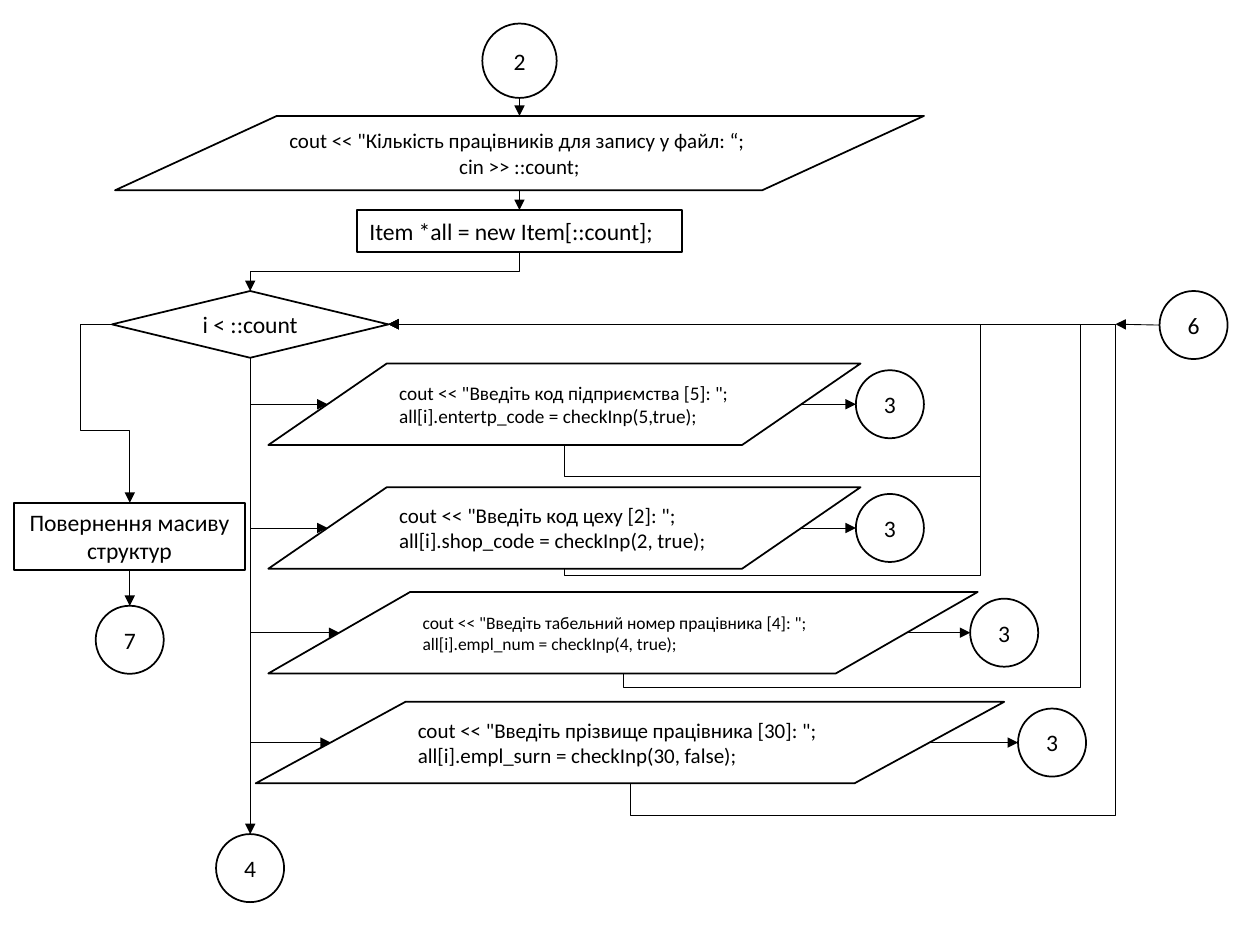
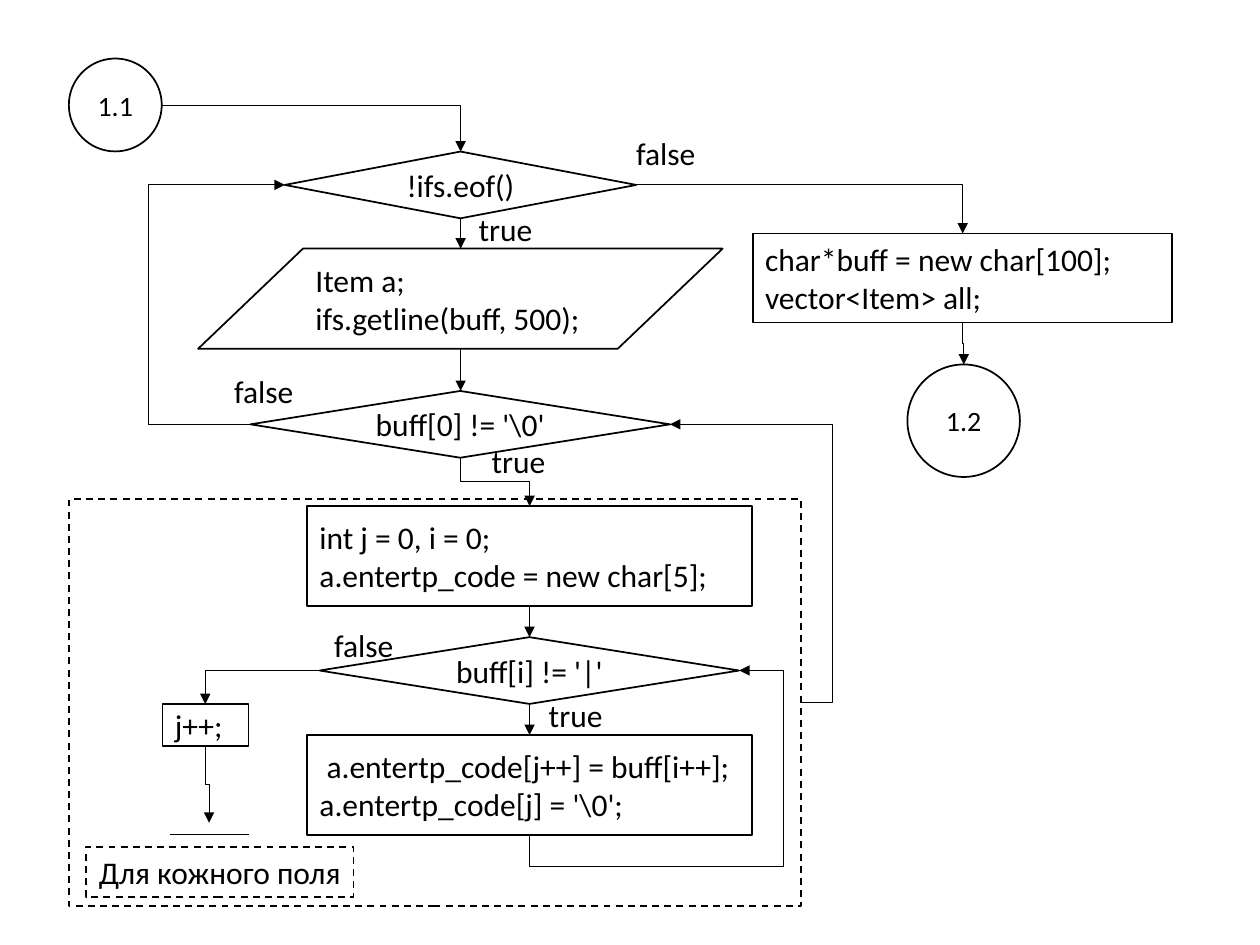
from pptx import Presentation
from pptx.dml.color import RGBColor
from pptx.enum.dml import MSO_LINE
from pptx.enum.shapes import MSO_CONNECTOR, MSO_SHAPE as SHAPE
from pptx.enum.text import MSO_ANCHOR, PP_ALIGN as ALIGN
from pptx.oxml.ns import qn
from pptx.util import Inches, Pt
from lxml.etree import SubElement

COLORS = {"paper": "FFFFFF", "ink": "000000"}
FONT = "Calibri"
CELL = Inches(0.1)          # the slide is a grid of 100 columns by 75 rows
INK = RGBColor.from_string(COLORS["ink"])
PAPER = RGBColor.from_string(COLORS["paper"])
PROCESS, DATA, DECISION, BOX, CIRCLE = (
    SHAPE.FLOWCHART_PROCESS, SHAPE.FLOWCHART_DATA, SHAPE.FLOWCHART_DECISION,
    SHAPE.RECTANGLE, SHAPE.OVAL)


def node(s, kind, x, y, w, h, lines=(), size=18, align=ALIGN.CENTER, dashed=False):
    """Add a flowchart shape, or a plain label when kind is None."""
    frame = [round(v * CELL) for v in (x, y, w, h)]
    if kind is None:
        sp = s.shapes.add_textbox(*frame)
    else:
        sp = s.shapes.add_shape(kind, *frame)
        sp.shadow.inherit = False
        sp.line.color.rgb = INK
        sp.line.width = Pt(1)
        if dashed:
            sp.line.dash_style = MSO_LINE.DASH
        if lines:
            sp.fill.solid()
            sp.fill.fore_color.rgb = PAPER
        else:
            sp.fill.background()
    tf = sp.text_frame
    tf.word_wrap = True
    tf.vertical_anchor = MSO_ANCHOR.MIDDLE
    if kind == CIRCLE:
        tf.margin_left = tf.margin_right = Inches(0.07)
        tf.margin_top = tf.margin_bottom = Inches(0.04)
    for i, line in enumerate(lines):
        p = tf.paragraphs[0] if i == 0 else tf.add_paragraph()
        p.alignment = align
        r = p.add_run()
        r.text = line
        r.font.name = FONT
        r.font.size = Pt(size)
        r.font.color.rgb = INK


def route(s, *points, arrow=True):
    """Draw one connector through the points, straight or with right-angle bends."""
    (x0, y0), (x1, y1) = points[0], points[-1]
    bends = len(points) - 2
    kind = MSO_CONNECTOR.ELBOW if bends else MSO_CONNECTOR.STRAIGHT
    c = s.shapes.add_connector(kind, *[round(v * CELL) for v in (x0, y0, x1, y1)])
    c.line.color.rgb = INK
    c.line.width = Pt(0.5)
    props = c._element.spPr
    if arrow:
        SubElement(props.find(qn("a:ln")), qn("a:tailEnd"), type="triangle")
    SubElement(props, qn("a:effectLst"))
    if not bends:
        return
    dx, dy = x1 - x0, y1 - y0
    first, second = 0, 1                    # axes of the first and second segment
    if points[1][0] == x0:                  # a downward start is a turned frame
        first, second = 1, 0
        c.left, c.top, c.width, c.height = [round(v * CELL) for v in (
            (x0 + x1 - abs(dy)) / 2, (y0 + y1 - abs(dx)) / 2, abs(dy), abs(dx))]
        three_quarters = dx > 0 and dy > 0
        xfrm = props.find(qn("a:xfrm"))
        xfrm.set("rot", str((270 if three_quarters else 90) * 60000))
        xfrm.set("flipH", str(int(three_quarters or dy < 0)))
        xfrm.set("flipV", str(int(dx > 0 and not three_quarters)))
    geometry = props.find(qn("a:prstGeom"))
    geometry.set("prst", f"bentConnector{bends + 1}")
    guides = geometry.find(qn("a:avLst"))
    for i, axis in enumerate((first, second)[:bends - 1], 1):
        share = (points[i][axis] - points[0][axis]) / (dx, dy)[axis]
        SubElement(guides, qn("a:gd"), name=f"adj{i}", fmla=f"val {round(share * 100000)}")


prs = Presentation()
prs.slide_width, prs.slide_height = 100 * CELL, 75 * CELL
blank = prs.slide_layouts[6]

# Slide 1: entering the records
s = prs.slides.add_slide(blank)
DOT = 5.4                   # diameter of a page connector
TEXT = 13.5
AXIS, TRUNK, RETURN = 41.23, 19.86, 10.3
LOOP_Y = 25.73              # row on which every loop returns

node(s, CIRCLE, 38.28, 1.87, 5.9, 5.9, ["2"], TEXT)
node(s, DATA, 9.13, 9.2, 64.2, 5.9,
     ['cout << "Кількість працівників для запису у файл: “; ', "cin >> ::count;"], 12)
node(s, PROCESS, 28.33, 16.67, 25.8, 3.33, ["Item *all = new Item[::count];"], TEXT, ALIGN.LEFT)
node(s, DECISION, 8.88, 23.1, 21.95, 5.3, ["i < ::count"], TEXT)
node(s, PROCESS, 1.1, 39.9, 18.35, 5.33, ["Повернення масиву структур"], TEXT)
for label, x, y in (("4", 17.15, 66.2), ("7", 7.6, 48.08), ("6", 92.03, 23.1)):
    node(s, CIRCLE, x, y, DOT, DOT, [label], TEXT)

route(s, (AXIS, 7.77), (AXIS, 9.2))
route(s, (AXIS, 15.1), (AXIS, 16.67))
route(s, (AXIS, 20), (AXIS, 21.55), (TRUNK, 21.55), (TRUNK, 23.1))
route(s, (TRUNK, 28.4), (TRUNK, 66.2))
route(s, (8.88, LOOP_Y), (6.4, LOOP_Y), (6.4, 34.15), (RETURN, 34.15), (RETURN, 39.9))
route(s, (RETURN, 45.23), (RETURN, 48.08))
route(s, (92.03, 25.8), (88.53, LOOP_Y))

# left, top, width, circle column, loop row, loop column, text size, lines
inputs = [
    (21.3, 28.85, 47, 67.93, 37.8, 77.8, 11,
     ['cout << "Введіть код підпpиємства [5]: ";', "all[i].entertp_code = checkInp(5,true);"]),
    (21.3, 38.67, 47, 67.93, 45.65, 77.8, 12,
     ['cout << "Введіть код цеху [2]: ";', "all[i].shop_code = checkInp(2, true);"]),
    (21.3, 46.98, 56.3, 77, 54.53, 85.73, 10,
     ['cout << "Введіть табельний номеp пpацівника [4]: ";',
      "all[i].empl_num = checkInp(4, true);"]),
    (20.3, 55.7, 59.4, 80.8, 64.7, 88.55, 12,
     ['cout << "Введіть пpізвище пpацівника [30]: ";',
      "all[i].empl_surn = checkInp(30, false);"]),
]
INPUT_H = 6.47
for x, y, w, dot_x, loop_row, loop_col, size, lines in inputs:
    middle = y + INPUT_H / 2
    node(s, DATA, x, y, w, INPUT_H, lines, size, ALIGN.LEFT)
    node(s, CIRCLE, dot_x, middle - DOT / 2, DOT, DOT, ["3"], TEXT)
    route(s, (TRUNK, 28.4), (TRUNK, middle), (x + 0.1 * w, middle))
    route(s, (x + 0.9 * w, middle), (dot_x, middle))
    route(s, (x + w / 2, y + INPUT_H), (x + w / 2, loop_row), (loop_col, loop_row),
          (loop_col, LOOP_Y), (30.83, LOOP_Y))

# Slide 2: reading the file
s = prs.slides.add_slide(blank)
AXIS, INNER, EXIT, STEP = 36.56, 42.03, 76.4, 16.3

for label, x, y, w in (
        ("true", 37, 16.2, 9.3), ("false", 49.5, 10.13, 7.3),
        ("true", 38.03, 34.62, 9.3), ("false", 17.6, 29.02, 7.3),
        ("true", 42.57, 54.75, 9.3), ("false", 25.53, 49.2, 7.3)):
    node(s, None, x, y, w, 4, [label], align=ALIGN.LEFT)

node(s, CIRCLE, 5.47, 4.65, 7.37, 7.37, ["1.1"], 16)
node(s, CIRCLE, 72.02, 28.93, 8.93, 8.93, ["1.2"], 16)
for label, x, y, w in (("!ifs.eof()", 22.6, 12.03, 27.9),
                       ("buff[0] != '\\0'", 19.88, 31.03, 33.3),
                       ("buff[i] != '|'", 25.37, 50.57, 33.3)):
    node(s, DECISION, x, y, w, 5.3, [label])
for kind, x, y, w, h, lines in (
        (BOX, 59.74, 18.53, 33.3, 7.07, ["char*buff = new char[100];", "vector<Item> all;"]),
        (DATA, 15.73, 19.73, 41.63, 7.95, ["Item a;", "ifs.getline(buff, 500);"]),
        (BOX, 24.37, 40.17, 35.3, 7.93, ["int j = 0, i = 0;", "a.entertp_code = new char[5];"]),
        (BOX, 24.37, 58.33, 35.3, 7.93,
         [" a.entertp_code[j++] = buff[i++]; a.entertp_code[j] = '\\0';"]),
        (BOX, 12.9, 55.88, 6.83, 3.33, ["j++;"])):
    node(s, kind, x, y, w, h, lines, align=ALIGN.LEFT)
node(s, BOX, 6.83, 67.2, 21.23, 4, ["Для кожного поля"], dashed=True)
node(s, BOX, 5.47, 39.63, 58.13, 32.27, dashed=True)

for points in (
        [(12.84, 8.34), (AXIS, 8.34), (AXIS, 12.03)],
        [(50.5, 14.68), (EXIT, 14.68), (EXIT, 18.53)],
        [(EXIT, 25.6), (EXIT, 27.27), (76.49, 27.27), (76.49, 28.93)],
        [(AXIS, 17.33), (AXIS, 19.73)],
        [(AXIS, 27.68), (AXIS, 31.03)],
        [(19.88, 33.68), (11.8, 33.68), (11.8, 14.68), (22.6, 14.68)],
        [(AXIS, 36.33), (AXIS, 38.25), (INNER, 38.25), (INNER, 40.17)],
        [(INNER, 48.1), (INNER, 50.57)],
        [(INNER, 55.87), (INNER, 58.33)],
        [(INNER, 66.26), (INNER, 68.76), (62.2, 68.76), (62.2, 53.22), (58.67, 53.22)],
        [(25.37, 53.22), (STEP, 53.22), (STEP, 55.88)],
        [(STEP, 59.21), (STEP, 62.26), (16.6, 62.26), (16.6, 65.3)],
        [(63.6, 55.77), (66.1, 55.77), (66.1, 33.68), (53.18, 33.68)]):
    route(s, *points)
route(s, (13.5, 66.26), (19.73, 66.26), arrow=False)

prs.save("out.pptx")
